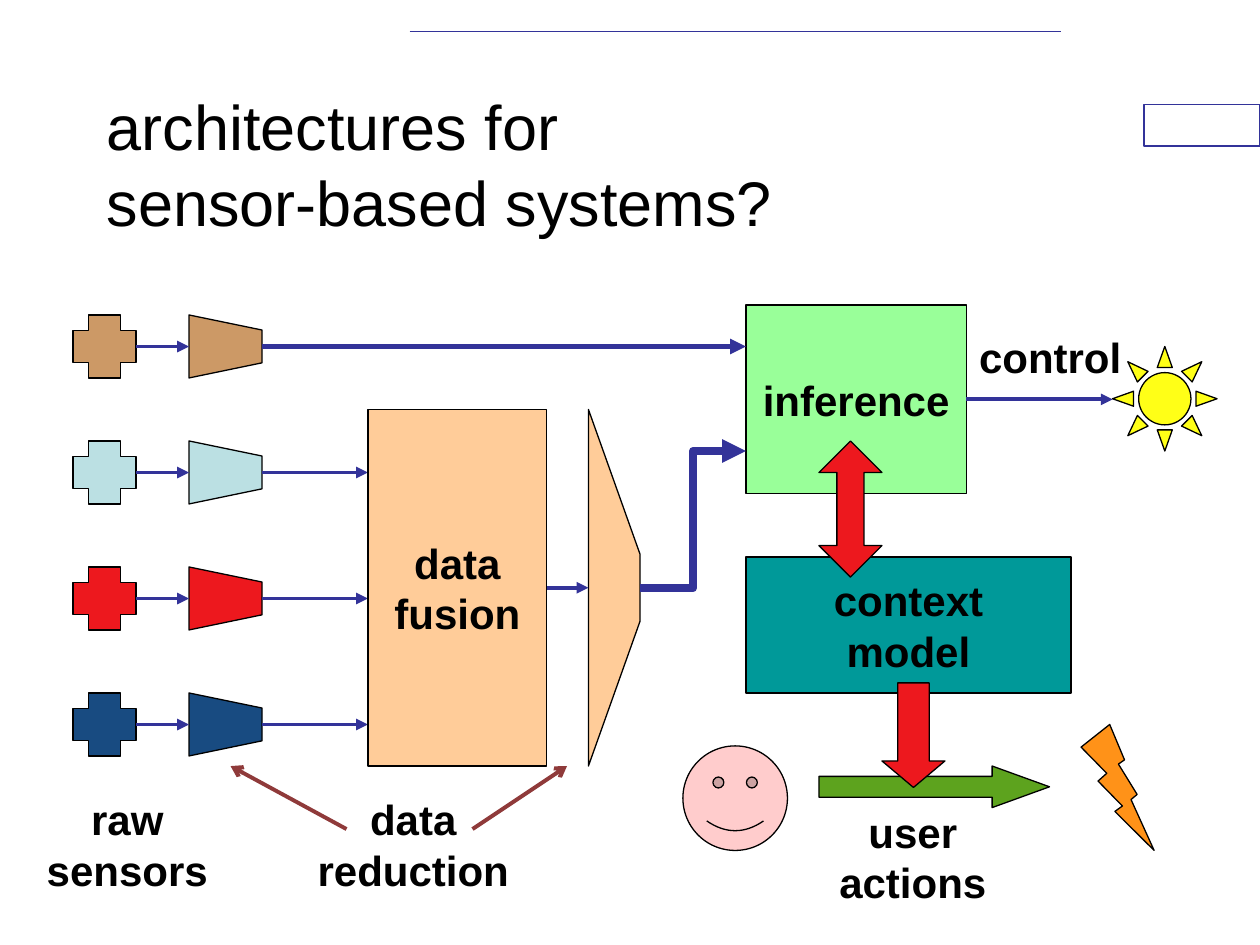
import pptx
import pptx.util
import pptx.dml.color
import pptx.enum.shapes
import pptx.enum.text
import pptx.oxml.ns
import lxml.etree

Inches = pptx.util.Inches
Pt = pptx.util.Pt
SHAPE = pptx.enum.shapes.MSO_SHAPE
LINK = pptx.enum.shapes.MSO_CONNECTOR
ALIGN = pptx.enum.text.PP_ALIGN
ANCHOR = pptx.enum.text.MSO_ANCHOR
AUTO = pptx.enum.text.MSO_AUTO_SIZE
qn = pptx.oxml.ns.qn

BLACK, NAVY, MAROON = "000000", "333399", "8F3A3A"
RED, PEACH = "ED181E", "FFCC99"
SENSOR_COLORS = ["CC9966", "BBE0E3", RED, "184B81"]
LABEL = {"size": Pt(24), "bold": True, "name": "Arial"}
TITLE = {"size": Pt(36), "bold": False, "name": "Arial"}


def rgb(value):
    return pptx.dml.color.RGBColor.from_string(value)


def paint(sp, fill, line=BLACK):
    sp.shadow.inherit = False
    sp.fill.solid()
    sp.fill.fore_color.rgb = rgb(fill)
    sp.line.color.rgb = rgb(line)
    sp.line.width = Pt(0.75)
    return sp


def write(sp, lines, font=LABEL, align=ALIGN.CENTER, wrap=False):
    tf = sp.text_frame
    tf.word_wrap = wrap
    tf.vertical_anchor = ANCHOR.MIDDLE
    for i, line in enumerate(lines):
        p = tf.paragraphs[0] if i == 0 else tf.add_paragraph()
        p.text = line
        p.alignment = align
        for key, value in font.items():
            setattr(p.font, key, value)
        p.font.color.rgb = rgb(BLACK)


def add_shape(s, kind, box, fill, adjust=(), line=BLACK):
    sp = s.shapes.add_shape(kind, *map(Inches, box))
    for i, value in enumerate(adjust):
        sp.adjustments[i] = value
    return paint(sp, fill, line)


def add_label(s, box, lines):
    sp = s.shapes.add_textbox(*map(Inches, box))
    write(sp, lines)
    sp.text_frame.auto_size = AUTO.SHAPE_TO_FIT_TEXT


def add_block(s, box, fill, lines):
    write(add_shape(s, SHAPE.RECTANGLE, box, fill), lines)


def add_line(s, start, end, width=2.25, color=NAVY, head="triangle", kind=LINK.STRAIGHT):
    cx = s.shapes.add_connector(kind, *map(Inches, start + end))
    cx.line.color.rgb = rgb(color)
    cx.line.width = Pt(width)
    if head:
        lxml.etree.SubElement(cx.line._get_or_add_ln(), qn("a:tailEnd"), type=head)
    lxml.etree.SubElement(cx._element.spPr, qn("a:effectLst"))


def add_funnel(s, box, inset, fill):
    x, y, w, h = box
    corners = [(x + w, y + inset), (x + w, y + h - inset), (x, y + h)]
    builder = s.shapes.build_freeform(Inches(x), Inches(y))
    builder.add_line_segments([(Inches(a), Inches(b)) for a, b in corners], close=True)
    paint(builder.convert_to_shape(), fill)


def add_header(s, box):
    x, y, w, h = box
    add_shape(s, SHAPE.RECTANGLE, (x + w - 0.92, y + 0.83, 0.92, 0.33), "FFFFFF", line=NAVY)
    add_line(s, (x + 3.25, y + 0.25), (x + 8.42, y + 0.25), 1, head=None)
    sp = s.shapes.add_textbox(*map(Inches, (x + 0.75, y + 0.67, 7.5, h - 0.67)))
    write(sp, ["architectures for \nsensor-based systems?"], TITLE, ALIGN.LEFT, True)


def add_sensors(s, box):
    x, y, w, h = box
    for i, color in enumerate(SENSOR_COLORS):
        top = y + i
        mid = top + 0.25
        add_shape(s, SHAPE.CROSS, (x, top, 0.5, 0.5), color, [0.25])
        add_funnel(s, (x + 0.92, top, 0.58, 0.5), 0.12, color)
        add_line(s, (x + 0.5, mid), (x + 0.92, mid))
        if i:
            add_line(s, (x + 1.5, mid), (x + w, mid))
    add_label(s, (x - 0.31, y + h, 1.48, 0.9), ["raw", "sensors"])


def add_fusion(s, box):
    x, y, w, h = box
    mid = y + h / 2
    add_block(s, (x, y, 1.42, h), PEACH, ["data", "fusion"])
    add_funnel(s, (x + w - 0.41, y, 0.41, h), 1.15, PEACH)
    add_line(s, (x + 1.42, mid), (x + w - 0.41, mid))
    add_label(s, (x - 0.5, y + 3, 1.72, 0.9), ["data", "reduction"])
    for start, end in [(-0.17, -1.09), (0.83, 1.58)]:
        add_line(s, (x + start, y + 3.33), (x + end, y + h), color=MAROON, head="arrow")


def add_reasoning(s, box):
    x, y, w, h = box
    add_block(s, (x, y + 2, w, 1.08), "009999", ["context", "model"])
    add_block(s, (x, y, 1.75, 1.5), "99FF99", ["inference"])
    add_line(s, (x - 0.84, y + 2.25), (x, y + 1.16), 4.5, kind=LINK.ELBOW)
    add_line(s, (x - 3.84, y + 0.33), (x, y + 0.33), 3, kind=LINK.ELBOW)
    add_shape(s, SHAPE.UP_DOWN_ARROW, (x + 0.58, y + 1.08, 0.5, 1.08), RED, [0.5, 0.43])
    add_shape(s, SHAPE.SUN, (x + 2.91, y + 0.33, 0.83, 0.83), "FFFF17", [0.25])
    add_line(s, (x + 1.75, y + 0.75), (x + 2.91, y + 0.75))
    add_label(s, (x + 1.75, y + 0.16, 1.33, 0.5), ["control"])


def add_user(s, box):
    x, y, w, h = box
    add_shape(s, SHAPE.SMILEY_FACE, (x, y + 0.5, 0.83, 0.83), "FFCCCC", [0.05])
    add_shape(s, SHAPE.RIGHT_ARROW, (x + 1.08, y + 0.66, 1.83, 0.33), "5DA31E", [0.5, 1.38])
    add_shape(s, SHAPE.DOWN_ARROW, (x + 1.58, y, 0.5, 0.83), RED, [0.5, 0.42])
    add_shape(s, SHAPE.LIGHTNING_BOLT, (x + w - 0.58, y + 0.33, 0.58, 1), "FF9218")
    add_label(s, (x + 1.14, y + 0.93, 1.37, 0.9), ["user", "actions"])


def main():
    prs = pptx.Presentation()
    prs.slide_width, prs.slide_height = Inches(10), Inches(7.5)
    s = prs.slides.add_slide(prs.slide_layouts[6])
    add_header(s, (0, 0, 10, 1.92))
    add_sensors(s, (0.58, 2.5, 2.34, 3.75))
    add_fusion(s, (2.92, 3.25, 2.16, 2.83))
    add_reasoning(s, (5.92, 2.42, 2.58, 3.08))
    add_user(s, (5.42, 5.42, 3.74, 1.83))
    prs.save("out.pptx")


if __name__ == "__main__":
    main()
